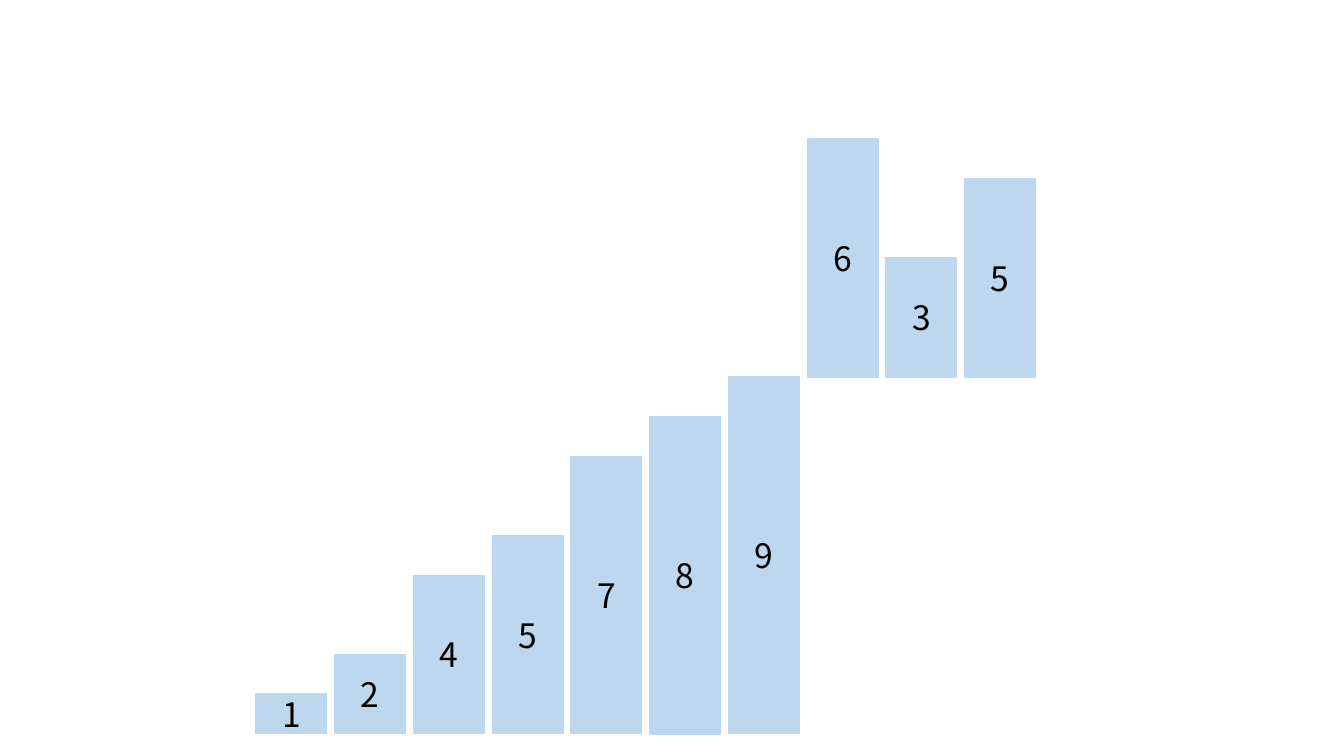
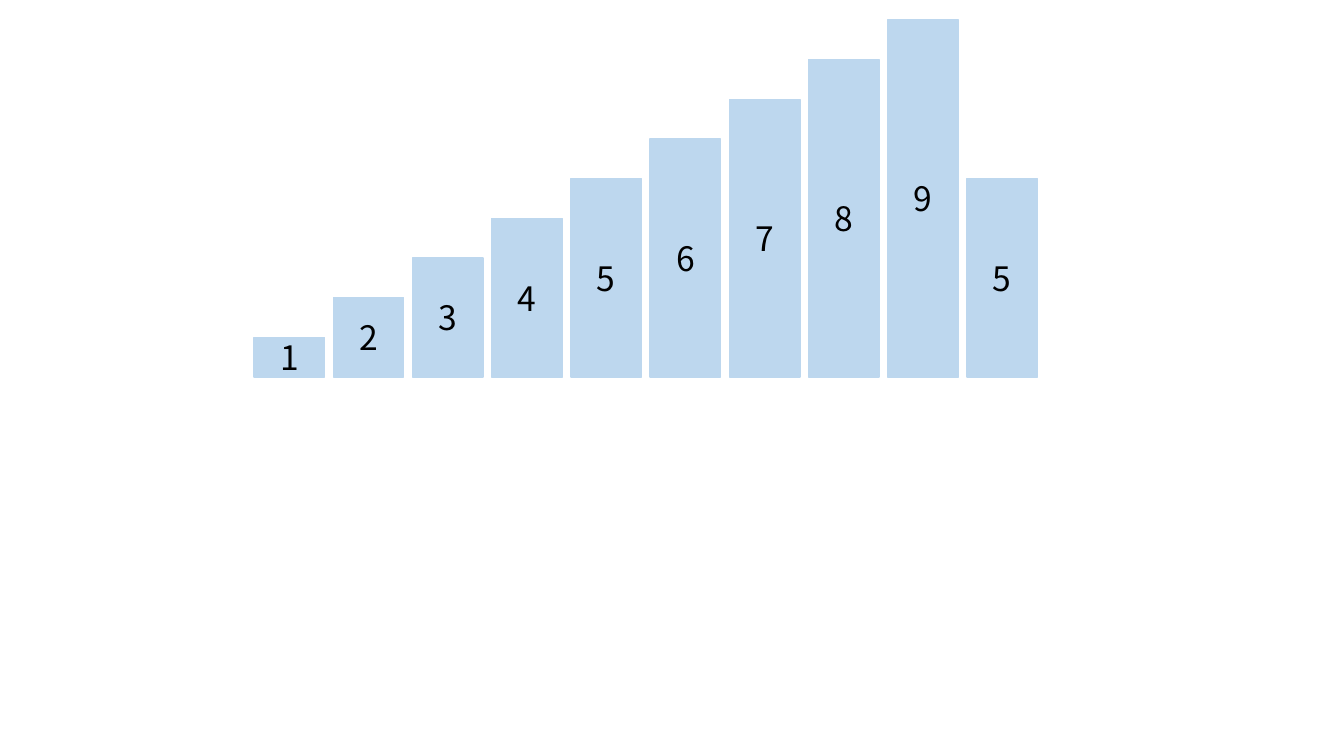
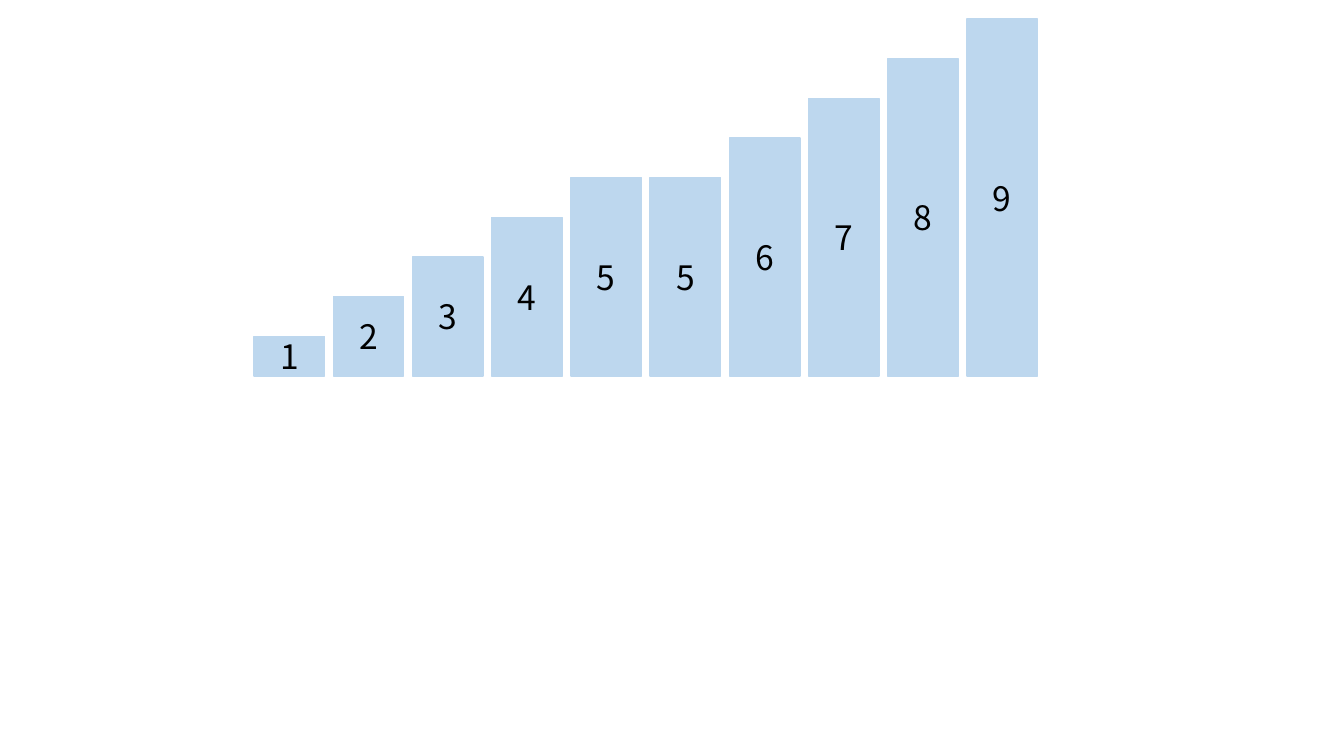
from pptx import Presentation
from pptx.dml.color import RGBColor
from pptx.enum.shapes import MSO_SHAPE
from pptx.enum.text import MSO_ANCHOR, PP_ALIGN
from pptx.util import Inches, Pt

RECTANGLE = MSO_SHAPE.RECTANGLE
MIDDLE = MSO_ANCHOR.MIDDLE
CENTER = PP_ALIGN.CENTER

# Shared look
PALE_BLUE = RGBColor(0xBD, 0xD7, 0xEE)
BLACK = RGBColor(0x00, 0x00, 0x00)
DIGIT_FORMAT = {"name": "Noto Sans CJK SC", "size": Pt(24)}

# Bar grid, in inches
SLIDE_WIDTH, SLIDE_HEIGHT = 13.33, 7.5
BLANK_LAYOUT = 6
COLUMNS = 10
BAR_WIDTH = 0.7
TALLEST_VALUE, TALLEST_HEIGHT = 9, 3.54
UNIT_HEIGHT = TALLEST_HEIGHT / TALLEST_VALUE

# Each page: left and width of the grid, then rows of
# (baseline, first column, values)
PAGES = [
    (2.54, 7.73, [(7.28, 0, [1, 2, 4, 5, 7, 8, 9]), (3.74, 7, [6, 3, 5])]),
    (2.52, 7.77, [(3.74, 0, [1, 2, 3, 4, 5, 6, 7, 8, 9, 5])]),
    (2.52, 7.77, [(3.73, 0, [1, 2, 3, 4, 5, 5, 6, 7, 8, 9])]),
]


def add_bar(page, left, baseline, value):
    """Draw one bar standing on the baseline, as tall as its value."""
    height = value * UNIT_HEIGHT
    bar = page.shapes.add_shape(
        RECTANGLE, Inches(left), Inches(baseline - height),
        Inches(BAR_WIDTH), Inches(height))
    bar.shadow.inherit = False
    bar.fill.solid()
    bar.fill.fore_color.rgb = PALE_BLUE
    bar.line.color.rgb = PALE_BLUE
    bar.line.width = Pt(1)

    # Digit in the middle of the bar
    bar.text_frame.vertical_anchor = MIDDLE
    para = bar.text_frame.paragraphs[0]
    para.alignment = CENTER
    span = para.add_run()
    span.text = str(value)
    for name, setting in DIGIT_FORMAT.items():
        setattr(span.font, name, setting)
    span.font.color.rgb = BLACK


def add_bar_row(page, left, width, baseline, first_column, values):
    """Place a row of bars in the evenly spaced columns of the grid."""
    pitch = (width - BAR_WIDTH) / (COLUMNS - 1)
    for column, value in enumerate(values, first_column):
        add_bar(page, left + column * pitch, baseline, value)


def main():
    deck = Presentation()
    deck.slide_width = Inches(SLIDE_WIDTH)
    deck.slide_height = Inches(SLIDE_HEIGHT)
    for left, width, rows in PAGES:
        page = deck.slides.add_slide(deck.slide_layouts[BLANK_LAYOUT])
        for baseline, first_column, values in rows:
            add_bar_row(page, left, width, baseline, first_column, values)
    deck.save("out.pptx")


if __name__ == "__main__":
    main()
